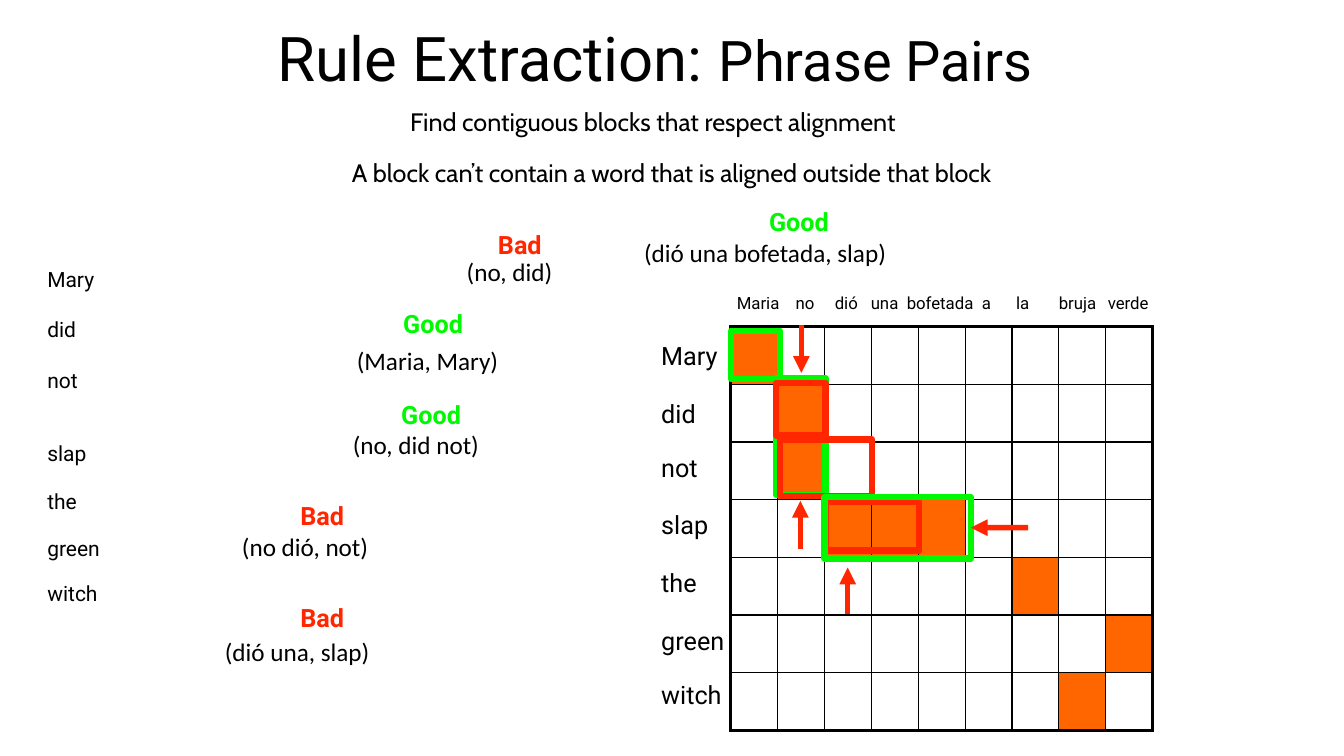
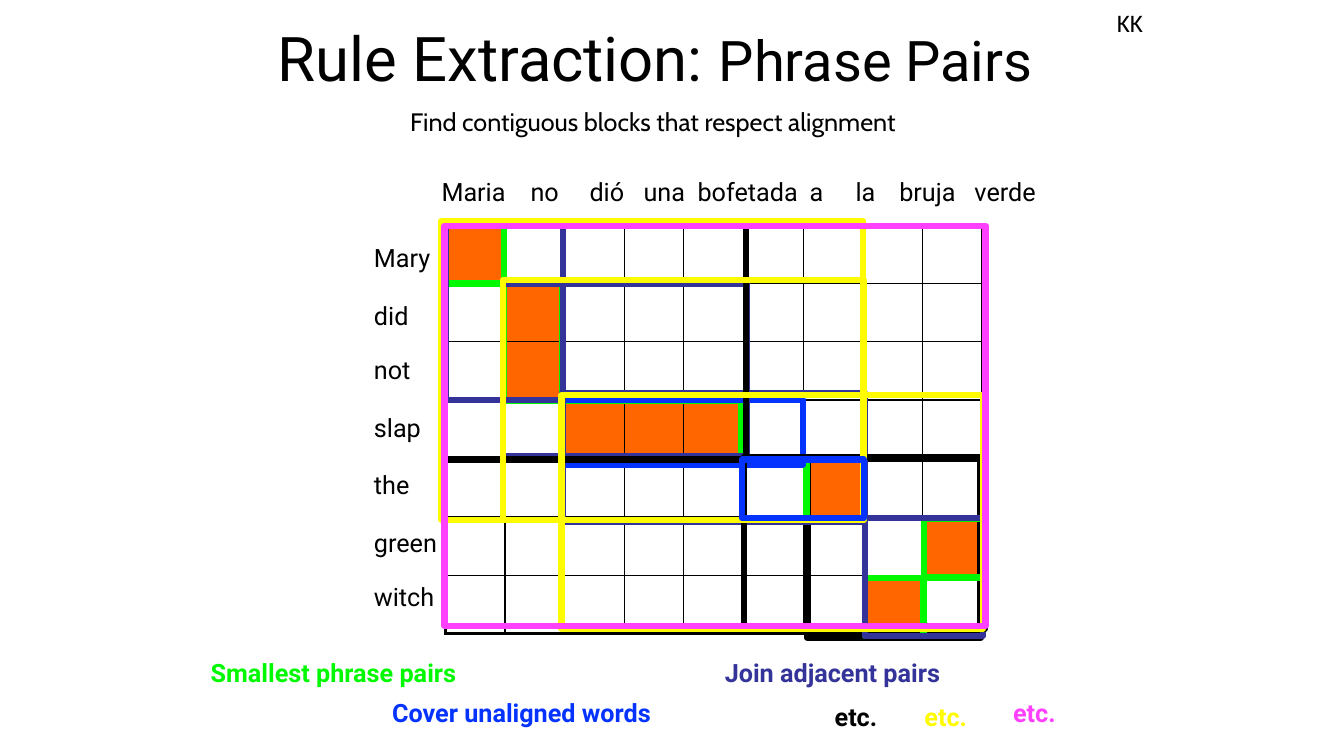
"""Builds two slides on extracting phrase pairs from an alignment grid."""
import pptx
import pptx.dml.color
import pptx.enum.shapes
import pptx.enum.text
import pptx.oxml.ns
import pptx.util
from lxml import etree

Pt = pptx.util.Pt
BLACK, GREEN, RED, FILL = "000000", "00F900", "FF2600", "FF6600"
BLUE, NAVY, GOLD, PINK = "0433FF", "333399", "FFFB00", "FF40FF"
ENGLISH = ["Mary", "did", "not", "slap", "the", "green", "witch"]
SPANISH = ["Maria", "no", "dió", "una", "bofetada", "a", "la", "bruja", "verde"]
LINKS = {(0, 0), (1, 1), (2, 1), (3, 2), (3, 3), (3, 4), (4, 6), (5, 8), (6, 7)}
GAPS = [0, 19.5, 17, 19.5, 19.5, 19.5, 17]


def color(code):
    """Turn a hex string into a colour."""
    return pptx.dml.color.RGBColor.from_string(code)


def node(parent, tag, **attrs):
    """Add a drawing element to a parent."""
    return etree.SubElement(parent, pptx.oxml.ns.qn("a:" + tag), attrs)


def style(font, size, name="Roboto", hue=BLACK, bold=False):
    """Set the look of a font."""
    font.size, font.name, font.bold = Pt(size), name, bold
    font.color.rgb = color(hue)


def frame(slide, x, y, w, h, pad=3.6, middle=False):
    """Add an empty text box and return its text frame."""
    body = slide.shapes.add_textbox(Pt(x), Pt(y), Pt(w), Pt(h)).text_frame
    body.word_wrap = True
    body.margin_left = body.margin_right = Pt(pad)
    body.margin_top = body.margin_bottom = Pt(pad)
    if middle:
        body.vertical_anchor = pptx.enum.text.MSO_ANCHOR.MIDDLE
    return body


def label(slide, text, x, y, w, **look):
    """Add one line of 18 point text."""
    para = frame(slide, x, y, w, 27.4, 2.9, True).paragraphs[0]
    para.text = text
    style(para.font, 18, **look)


def title(slide, *notes):
    """Add the title and the lines below it."""
    para = frame(slide, 144, -0.7, 648, 90, middle=True).paragraphs[0]
    para.alignment = pptx.enum.text.PP_ALIGN.CENTER
    para.line_spacing = 0.9
    for text, size in (("Rule Extraction: ", 44), ("Phrase Pairs", 40)):
        run = para.add_run()
        run.text = text
        style(run.font, size)
    for text, x, y, w in notes:
        para = frame(slide, x, y, w, 28.8).paragraphs[0]
        para.text = text
        style(para.font, 18, "Cabin")


def words(slide, x, y, w, h, size, gaps):
    """List the English words down the page."""
    body = frame(slide, x, y, w, h)
    for i, (word, gap) in enumerate(zip(ENGLISH, gaps)):
        para = body.add_paragraph() if i else body.paragraphs[0]
        para.text = word
        para.space_before = Pt(gap)
        style(para.font, size)


def header(slide, x, y, w, h, size, stops):
    """Set the Spanish words on one line with tab stops."""
    para = frame(slide, x, y, w, h).paragraphs[0]
    para.text = "\t".join(SPANISH)
    tabs = node(para._p.get_or_add_pPr(), "tabLst")
    for stop in stops:
        node(tabs, "tab", pos=str(Pt(stop)), algn="l")
    style(para.font, size)


def border(cell, edges):
    """Draw the sides of a cell, thick where it meets the table edge."""
    props = cell._tc.get_or_add_tcPr()
    for side, outer in zip("LRTB", edges):
        line = node(props, "ln" + side, w=str(Pt(2.25 if outer else 1)))
        node(node(line, "solidFill"), "srgbClr", val=BLACK)


def grid(slide, x, y, wide, high):
    """Add the alignment table."""
    rows, cols = len(ENGLISH), len(SPANISH)
    table = slide.shapes.add_table(
        rows, cols, Pt(x), Pt(y), Pt(wide * cols), Pt(high * rows)).table
    table.first_row = table.horz_banding = False
    for col in table.columns:
        col.width = Pt(wide)
    for r, row in enumerate(table.rows):
        row.height = Pt(high)
        for c, cell in enumerate(row.cells):
            border(cell, (c == 0, c == cols - 1, r == 0, r == rows - 1))
            if (r, c) in LINKS:
                cell.fill.solid()
                cell.fill.fore_color.rgb = color(FILL)
            else:
                cell.fill.background()


def block(slide, hue, x, y, w, h):
    """Outline a block of the grid."""
    shape = slide.shapes.add_shape(
        pptx.enum.shapes.MSO_SHAPE.RECTANGLE, Pt(x), Pt(y), Pt(w), Pt(h))
    shape.shadow.inherit = False
    shape.fill.background()
    shape.line.color.rgb = color(hue)
    shape.line.width = Pt(4.5)
    return shape


def arrow(slide, x, y, to_x, to_y):
    """Add a red arrow."""
    line = slide.shapes.add_connector(
        pptx.enum.shapes.MSO_CONNECTOR.STRAIGHT, Pt(x), Pt(y), Pt(to_x), Pt(to_y))
    line.line.color.rgb = color(RED)
    line.line.width = Pt(4)
    node(line.line._get_or_add_ln(), "tailEnd", type="triangle")
    node(line._element.spPr, "effectLst")
    return line


def verdict(slide, good, x, y, pair, pair_x, pair_y, w):
    """Judge a phrase pair as good or bad."""
    text, hue = ("Good", GREEN) if good else ("Bad", RED)
    label(slide, text, x, y, 53.3, hue=hue, bold=True)
    label(slide, pair, pair_x, pair_y, w, name="Calibri")


def judge(slide, rule):
    """Fill the slide that judges blocks."""
    grid(slide, 522, 233.3, 33.5, 41.2)
    words(slide, 30.2, 186.5, 48, 250, 15, [0, 18, 18.8, 33.8, 16, 16, 13.8])
    header(slide, 522.7, 205.9, 316, 21.6, 12,
           [42, 70, 95.7, 121.4, 175, 199.5, 230, 265])
    title(slide, rule,
          ("A block can’t contain a word that is aligned outside that block",
           247.7, 108.7, 515.5))
    for spot in (
            (GREEN, 522, 236.2, 35.3, 34.6), (GREEN, 554.4, 270, 35.3, 83.5),
            (RED, 554.4, 273.6, 35.3, 37.4), (RED, 589.7, 358.6, 67, 34.6),
            (RED, 557.3, 313.9, 65.5, 40.3)):
        block(slide, *spot)
    for case in (
            (True, 285.1, 217.4, "(Maria, Mary)", 252, 243.4, 108),
            (True, 283.7, 282.2, "(no, did not)", 249.1, 303.8, 97.2),
            (False, 211.7, 354.2, "(no dió, not)", 169.9, 376.6, 97.2),
            (False, 352.8, 160.6, "(no, did)", 330.5, 180, 67.7),
            (True, 546.5, 144.7, "(dió una bofetada, slap)", 457.2, 166.3, 182),
            (False, 211.7, 427, "(dió una, slap)", 157.7, 451.4, 114)):
        verdict(slide, *case)
    slap = block(slide, GREEN, 589, 355, 104.4, 43.9)
    for ends in ((571.7, 392.4, 571.7, 357.8), (572.4, 231.8, 572.4, 266.4),
                 (605.5, 438.5, 605.5, 405.4)):
        arrow(slide, *ends)
    arrow(slide, 734.4, 376.9, 693.4, 376.9).end_connect(slap, 3)
    words(slide, 468.7, 239.8, 54, 271.4, 18, GAPS)


def join(slide, rule):
    """Fill the slide that joins blocks."""
    grid(slide, 318.2, 160.6, 42.6, 41.7)
    words(slide, 263.5, 169.9, 54, 271.4, 18, GAPS)
    header(slide, 311.8, 122.4, 449.3, 28.8, 18,
           [63.6, 105.7, 144.3, 182.9, 263, 295.7, 327, 380.7])
    title(slide, rule)
    for spot in (
            (BLACK, 576.7, 327.6, 123.8, 128.2),
            (GREEN, 360, 202.3, 41.8, 84.2), (GREEN, 318.2, 160.6, 41.8, 41.8),
            (GREEN, 401.8, 286.6, 127.4, 41.8), (GREEN, 576, 328.3, 41.8, 41.8),
            (GREEN, 660.2, 370.8, 41.8, 41.8), (GREEN, 617.8, 412.6, 41.8, 41.8),
            (BLUE, 401.8, 285.8, 172, 46),
            (NAVY, 318.2, 160.6, 84.2, 125.3), (NAVY, 401.8, 280.8, 216, 92.2),
            (NAVY, 617.8, 370, 84.2, 84.2), (NAVY, 359.3, 203, 174.2, 123.1),
            (BLACK, 316.8, 161.3, 216, 167), (BLACK, 531.4, 326.2, 172, 123.1),
            (GOLD, 315.4, 157.7, 301, 213.8), (GOLD, 359.3, 200.2, 257.8, 171.4),
            (GOLD, 401, 282.2, 301, 167), (PINK, 317.5, 161.3, 386.6, 285.8),
            (BLUE, 529.9, 328.3, 87.1, 41.8)):
        block(slide, *spot)
    for text, hue, x, y, w in (
            ("Smallest phrase pairs", GREEN, 147.6, 466.6, 193.7),
            ("Cover unaligned words", BLUE, 277.2, 495.4, 206.6),
            ("Join adjacent pairs", NAVY, 514.8, 466.6, 170),
            ("etc.", BLACK, 593.3, 498.2, 40),
            ("etc.", GOLD, 657.4, 498.2, 40),
            ("etc.", PINK, 720.7, 495.4, 40)):
        label(slide, text, x, y, w, hue=hue, bold=True)
    label(slide, "KK", 794.9, 2.2, 30, name="Calibri")


def main():
    """Build and save the slides."""
    deck = pptx.Presentation()
    deck.slide_width, deck.slide_height = Pt(960), Pt(540)
    rule = ("Find contiguous blocks that respect alignment", 289.4, 72.7, 383)
    for fill in (judge, join):
        fill(deck.slides.add_slide(deck.slide_layouts[6]), rule)
    deck.save("out.pptx")


if __name__ == "__main__":
    main()
